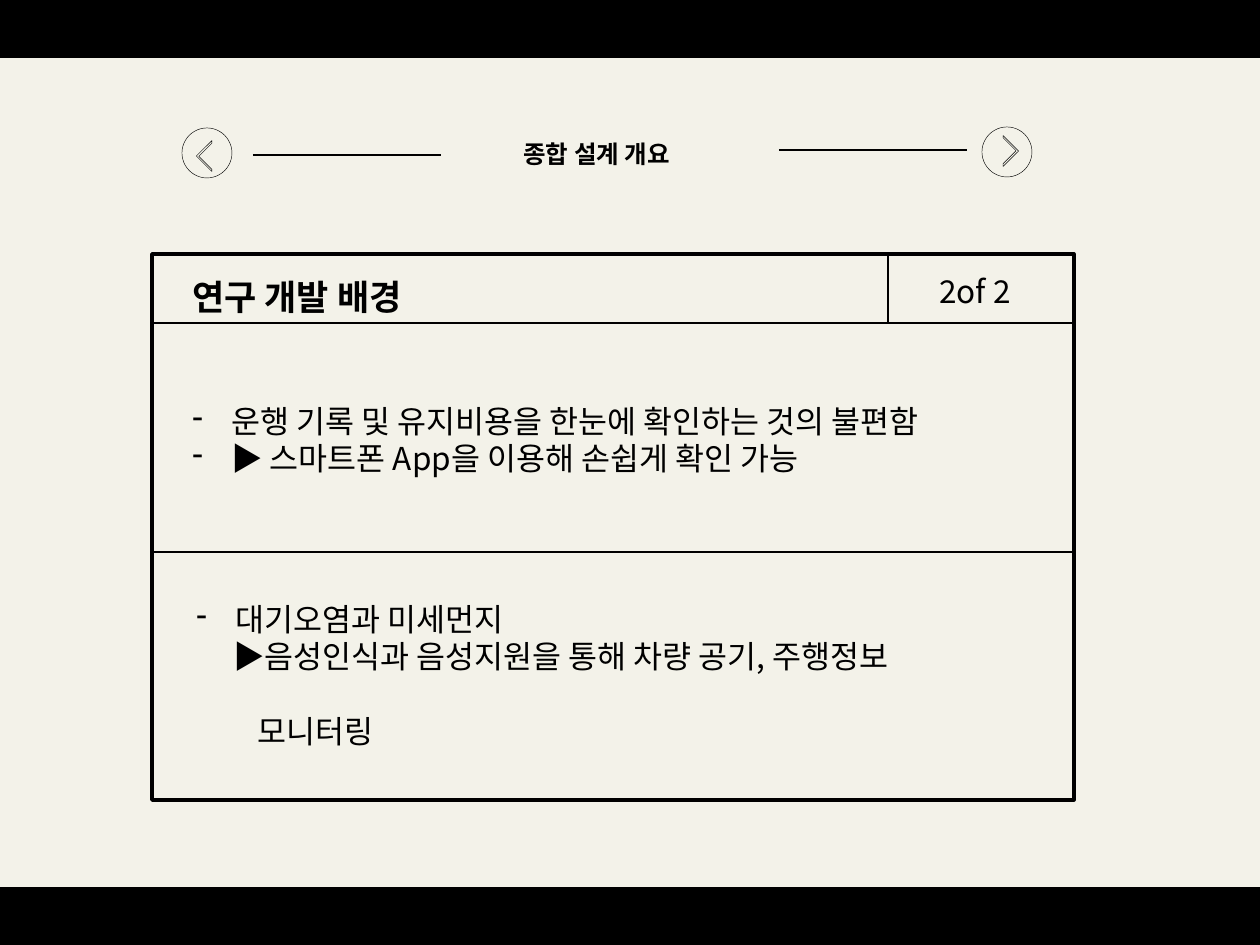
from lxml import etree
from pptx import Presentation
from pptx.dml.color import RGBColor
from pptx.enum.shapes import MSO_CONNECTOR, MSO_SHAPE
from pptx.oxml.ns import qn
from pptx.util import Emu, Pt

RECTANGLE, OVAL, HALF_FRAME = MSO_SHAPE.RECTANGLE, MSO_SHAPE.OVAL, MSO_SHAPE.HALF_FRAME
STRAIGHT = MSO_CONNECTOR.STRAIGHT
BLACK = RGBColor(0x00, 0x00, 0x00)
IVORY = RGBColor(0xF3, 0xF2, 0xE9)
FONT = "Noto Sans CJK KR"
PX = 7257.14
WIDTH, HEIGHT = 1260, 945
LINE_RATIO = 1.19
HANG = 39

BAR_HEIGHT = 56
BARS = [(0, 0, WIDTH, BAR_HEIGHT), (0, HEIGHT - BAR_HEIGHT, WIDTH, BAR_HEIGHT)]
CARD = LEFT, TOP, CARD_WIDTH, CARD_HEIGHT = 152, 254, 922, 546
RIGHT, HEADER_BOTTOM, MIDDLE, PAGE_LEFT = LEFT + CARD_WIDTH, 323, 552, 888

BUTTONS = [(182, 128, 50), (982, 127, 50)]
ARROWS = [(201, 145, 22, 315), (992, 140, 22, 135)]
RULES = [
    (253, 155, 441, 155),
    (779, 150, 967, 150),
    (LEFT, HEADER_BOTTOM, RIGHT, HEADER_BOTTOM),
    (LEFT, MIDDLE, RIGHT, MIDDLE),
    (PAGE_LEFT, TOP, PAGE_LEFT, HEADER_BOTTOM),
]

TEXTS = [
    {"at": (511, 133, 190, 43), "size": 14, "bold": True,
     "lines": [{"text": "종합 설계 개요"}]},
    {"at": (927, 266, 110, 50), "size": 18,
     "lines": [{"text": "2of 2"}]},
    {"at": (180, 270, 255, 55), "size": 20, "bold": True,
     "lines": [{"text": "연구 개발 배경"}]},
    {"at": (180, 396, 853, 89), "size": 18,
     "lines": [
         {"text": "운행 기록 및 유지비용을 한눈에 확인하는 것의 불편함", "bullet": True},
         {"text": "▶ 스마트폰 App을 이용해 손쉽게 확인 가능", "bullet": True},
     ]},
    {"at": (184, 594, 835, 165), "size": 18,
     "lines": [
         {"text": "대기오염과 미세먼지", "bullet": True},
         {"text": "▶음성인식과 음성지원을 통해 차량 공기, 주행정보", "indent": 37},
         {"text": "모니터링", "indent": 61, "gap": 1},
     ]},
]


def px(*lengths):
    return [Emu(round(length * PX)) for length in lengths]


def add_outline(shapes, preset, box, weight, filled=False):
    shape = shapes.add_shape(preset, *px(*box))
    shape.shadow.inherit = False
    if filled:
        shape.fill.solid()
        shape.fill.fore_color.rgb = BLACK
    else:
        shape.fill.background()
    shape.line.color.rgb = BLACK
    shape.line.width = Pt(weight)
    return shape


def add_rule(shapes, ends):
    rule = shapes.add_connector(STRAIGHT, *px(*ends))
    rule.line.color.rgb = BLACK
    rule.line.width = Pt(0.75)
    etree.SubElement(rule._element.spPr, qn("a:effectLst"))


def format_line(paragraph, line, size, bold):
    pitch = round(size * LINE_RATIO, 1)
    paragraph.text = line["text"]
    paragraph.line_spacing = Pt(pitch)
    paragraph.space_before = Pt(pitch * line.get("gap", 0))
    properties = paragraph._p.get_or_add_pPr()
    bullet = line.get("bullet", False)
    indent = HANG if bullet else line.get("indent", 0)
    properties.set("marL", str(px(indent)[0]))
    properties.set("indent", str(px(-HANG if bullet else 0)[0]))
    if bullet:
        etree.SubElement(properties, qn("a:buChar"), char="-")
    font = paragraph.font
    font.size, font.bold, font.name = Pt(size), bold, FONT
    font.color.rgb = BLACK
    latin = properties.find(qn("a:defRPr")).find(qn("a:latin"))
    east_asian = etree.Element(qn("a:ea"), typeface=FONT)
    latin.addnext(east_asian)


def add_text(shapes, block):
    frame = shapes.add_textbox(*px(*block["at"])).text_frame
    frame.word_wrap = True
    for index, line in enumerate(block["lines"]):
        paragraph = frame.add_paragraph() if index else frame.paragraphs[0]
        format_line(paragraph, line, block["size"], block.get("bold", False))


def main():
    deck = Presentation()
    deck.slide_width, deck.slide_height = px(WIDTH, HEIGHT)
    slide = deck.slides.add_slide(deck.slide_layouts[6])
    slide.background.fill.solid()
    slide.background.fill.fore_color.rgb = IVORY
    shapes = slide.shapes

    for bar in BARS:
        add_outline(shapes, RECTANGLE, bar, 2, filled=True)
    for left, top, side in BUTTONS:
        add_outline(shapes, OVAL, (left, top, side, side), 0.25)
    for left, top, side, angle in ARROWS:
        arrow = add_outline(shapes, HALF_FRAME, (left, top, side, side), 0.25)
        arrow.rotation = angle
        arrow.adjustments[0], arrow.adjustments[1] = 0.09, 0.07
    add_outline(shapes, RECTANGLE, CARD, 2)
    for ends in RULES:
        add_rule(shapes, ends)
    for block in TEXTS:
        add_text(shapes, block)
    deck.save("out.pptx")


if __name__ == "__main__":
    main()
